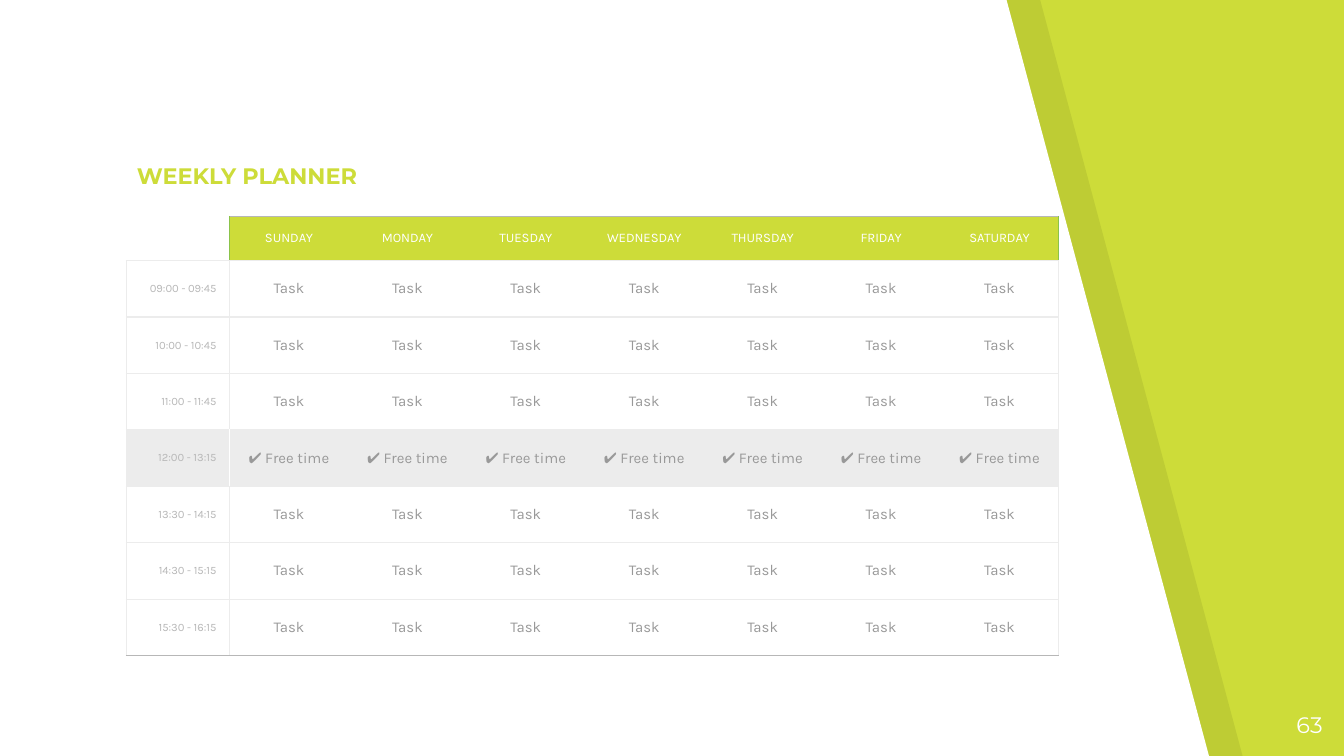
import lxml.etree
import pptx
import pptx.dml.color
import pptx.enum.text
import pptx.oxml
import pptx.oxml.ns
import pptx.util

Inches = pptx.util.Inches
ALIGN = pptx.enum.text.PP_ALIGN
ANCHOR = pptx.enum.text.MSO_ANCHOR
qn = pptx.oxml.ns.qn

LIME, GREEN, WHITE, BLACK = "CDDC39", "8BC34A", "FFFFFF", "000000"
PALE_GRAY, LIGHT_GRAY, TEXT_GRAY = "ECECEC", "B7B7B7", "999999"

DAYS = ["SUNDAY", "MONDAY", "TUESDAY", "WEDNESDAY", "THURSDAY", "FRIDAY", "SATURDAY"]
TIMES = ["09:00 - 09:45", "10:00 - 10:45", "11:00 - 11:45", "12:00 - 13:15",
         "13:30 - 14:15", "14:30 - 15:15", "15:30 - 16:15"]
FREE_ROW = 4
ROW_COUNT, COLUMN_COUNT = len(TIMES) + 1, len(DAYS) + 1


def rgb(color):
    return pptx.dml.color.RGBColor.from_string(color)


def write_text(text_frame, text, size, color, font="Karla", bold=False, align=ALIGN.LEFT):
    paragraph = text_frame.paragraphs[0]
    paragraph.alignment = align
    run = paragraph.add_run()
    run.text = text
    run.font.name = font
    run.font.size = pptx.util.Pt(size)
    run.font.bold = bold
    run.font.color.rgb = rgb(color)


def add_label(slide, left, top, width, height, text, anchor=ANCHOR.TOP, **text_format):
    text_frame = slide.shapes.add_textbox(
        Inches(left), Inches(top), Inches(width), Inches(height)).text_frame
    text_frame.word_wrap = True
    text_frame.vertical_anchor = anchor
    text_frame.margin_left = text_frame.margin_right = Inches(0.1)
    text_frame.margin_top = text_frame.margin_bottom = Inches(0.1)
    write_text(text_frame, text, font="Montserrat", **text_format)


def add_slanted_panel(slide, left, top, width, height, color, opacity=None):
    """Add a panel whose right edge leans out towards the bottom."""
    right, bottom = left + width, top + height
    builder = slide.shapes.build_freeform(Inches(left), Inches(top))
    builder.add_line_segments([
        (Inches(left), Inches(bottom)),
        (Inches(right), Inches(bottom)),
        (Inches(right - 1.51), Inches(top + 0.01)),
    ], close=True)
    panel = builder.convert_to_shape()
    panel.shadow.inherit = False
    panel.line.fill.background()
    panel.fill.solid()
    panel.fill.fore_color.rgb = rgb(color)
    if opacity is not None:
        color_element = panel._element.spPr.find(qn("a:solidFill"))[0]
        lxml.etree.SubElement(color_element, qn("a:alpha"), val=str(opacity * 1000))


def horizontal_line_color(line, column):
    if line == 0:
        return LIGHT_GRAY if column else None
    return LIGHT_GRAY if line == ROW_COUNT else PALE_GRAY


def vertical_line_color(line, row):
    if line not in (0, 1, COLUMN_COUNT):
        return None
    if row == 0:
        return GREEN if line else None
    return WHITE if (line, row) == (1, FREE_ROW) else PALE_GRAY


def set_borders(cell, row, column):
    borders = {
        "a:lnL": vertical_line_color(column, row),
        "a:lnR": vertical_line_color(column + 1, row),
        "a:lnT": horizontal_line_color(row, column),
        "a:lnB": horizontal_line_color(row + 1, column),
    }
    properties = cell._tc.get_or_add_tcPr()
    for tag, color in borders.items():
        line = lxml.etree.SubElement(properties, qn(tag), w=str(pptx.util.Pt(0.75)))
        if color:
            fill = lxml.etree.SubElement(line, qn("a:solidFill"))
            lxml.etree.SubElement(fill, qn("a:srgbClr"), val=color)
        else:
            lxml.etree.SubElement(line, qn("a:noFill"))


def set_fill(cell, row, column):
    if row == FREE_ROW or (row == 0 and column):
        cell.fill.solid()
        cell.fill.fore_color.rgb = rgb(LIME if row == 0 else PALE_GRAY)
    else:
        cell.fill.background()


def fill_cell_text(cell, row, column):
    cell.vertical_anchor = ANCHOR.MIDDLE
    cell.margin_left = cell.margin_right = Inches(0.1)
    cell.margin_top = cell.margin_bottom = Inches(0.1)
    if row == 0 and column == 0:
        # A small end mark keeps the empty corner from stretching the header row.
        paragraph = cell.text_frame.paragraphs[0]
        lxml.etree.SubElement(paragraph._p, qn("a:endParaRPr"), sz="700")
    elif row == 0:
        write_text(cell.text_frame, DAYS[column - 1], 7, WHITE, align=ALIGN.CENTER)
    elif column == 0:
        write_text(cell.text_frame, TIMES[row - 1], 6, LIGHT_GRAY, align=ALIGN.RIGHT)
    else:
        task = "✔ Free time" if row == FREE_ROW else "Task"
        write_text(cell.text_frame, task, 8, TEXT_GRAY, align=ALIGN.CENTER)


def add_planner_table(slide, left, top, width, height):
    time_width, header_height = 0.77, 0.33
    table = slide.shapes.add_table(
        ROW_COUNT, COLUMN_COUNT,
        Inches(left), Inches(top), Inches(width), Inches(height)).table
    table.first_row = table.horz_banding = False
    for index, column in enumerate(table.columns):
        column.width = Inches((width - time_width) / len(DAYS) if index else time_width)
    for index, row in enumerate(table.rows):
        row.height = Inches((height - header_height) / len(TIMES) if index else header_height)
    for row in range(ROW_COUNT):
        for column in range(COLUMN_COUNT):
            cell = table.cell(row, column)
            set_borders(cell, row, column)
            set_fill(cell, row, column)
            fill_cell_text(cell, row, column)


def add_planner_slide(presentation):
    slide = presentation.slides.add_slide(presentation.slide_layouts[6])
    slide.background.fill.solid()
    slide.background.fill.fore_color.rgb = rgb(LIME)
    add_slanted_panel(slide, 0.25, -0.01, 9, 5.65, BLACK, opacity=7)
    add_slanted_panel(slide, 0, -0.01, 9, 5.65, WHITE)
    add_label(slide, 0.92, 1.06, 5.25, 0.45, "WEEKLY PLANNER",
              anchor=ANCHOR.BOTTOM, size=12, color=LIME, bold=True)
    add_label(slide, 9.34, 5.19, 0.6, 0.43, "63", size=12, color=WHITE, align=ALIGN.RIGHT)
    add_planner_table(slide, 0.94, 1.61, 6.94, 3.27)


def main():
    presentation = pptx.Presentation()
    presentation.slide_width = Inches(10)
    presentation.slide_height = Inches(10 * 9 / 16)
    add_planner_slide(presentation)
    presentation.save("out.pptx")


if __name__ == "__main__":
    main()
